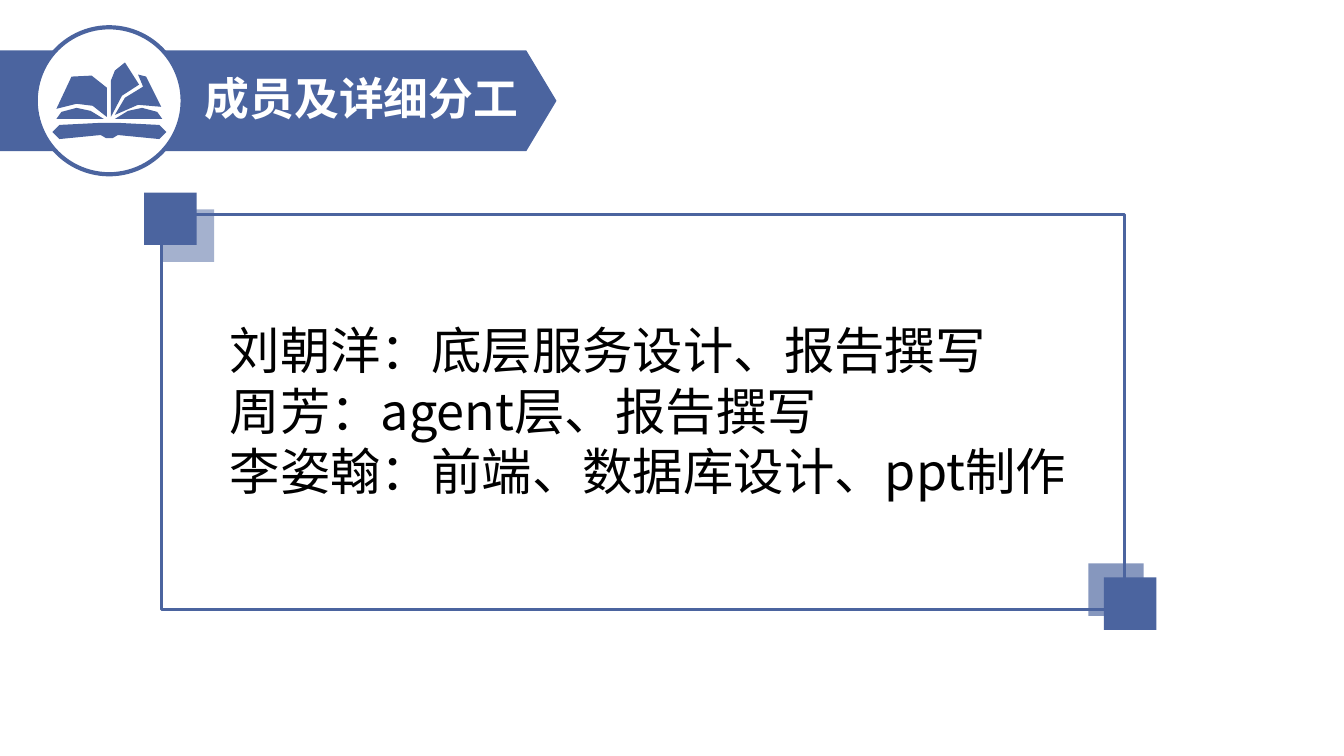
from lxml.etree import SubElement
from pptx import Presentation
from pptx.dml.color import RGBColor
from pptx.enum.lang import MSO_LANGUAGE_ID as LANGUAGE
from pptx.enum.shapes import MSO_SHAPE as SHAPE
from pptx.enum.text import MSO_ANCHOR, MSO_AUTO_SIZE, PP_ALIGN
from pptx.oxml.ns import qn
from pptx.util import Pt

COLORS = {"blue": "4B649F", "white": "FFFFFF", "black": "000000"}
CJK_FONT = "Noto Sans CJK SC"


def style_shape(shape, fill=None, line_width=0, opacity=100):
    """Set a flat fill, a blue outline and the opacity of a shape."""
    shape.shadow.inherit = False
    if fill:
        shape.fill.solid()
        shape.fill.fore_color.rgb = RGBColor.from_string(COLORS[fill])
    else:
        shape.fill.background()
    if line_width:
        shape.line.color.rgb = RGBColor.from_string(COLORS["blue"])
        shape.line.width = Pt(line_width)
    else:
        shape.line.fill.background()
    if opacity < 100:
        color = shape.element.spPr.find(qn("a:solidFill"))[0]
        SubElement(color, qn("a:alpha"), val=str(opacity * 1000))


def add_run(paragraph, text, size, font, color, bold=False):
    """Add one formatted run of Chinese text to a paragraph."""
    run = paragraph.add_run()
    run.text = text
    run.font.size = Pt(size)
    run.font.name = font
    run.font.bold = bold
    run.font.color.rgb = RGBColor.from_string(COLORS[color])
    run.font.language_id = LANGUAGE.SIMPLIFIED_CHINESE
    SubElement(run.font._element, qn("a:ea"), typeface=CJK_FONT)


presentation = Presentation()
presentation.slide_width = Pt(960)
presentation.slide_height = Pt(540)
slide = presentation.slides.add_slide(presentation.slide_layouts[5])
shapes = slide.shapes

# Banner with the round badge
banner = shapes.add_shape(SHAPE.PENTAGON, Pt(0), Pt(36), Pt(397.5), Pt(72))
banner.adjustments[0] = 0.3
style_shape(banner, "blue")
badge = shapes.add_shape(SHAPE.OVAL, Pt(25.5), Pt(19.5), Pt(105), Pt(105))
style_shape(badge, "white", line_width=3)

# Open book on a grid of 0.72 pt; the page edge and the spine mirror at its middle
BOOK_MIDDLE = 108.5
page_edge = [(103, 118), (90, 110), (76, 107), (61, 111), (56, 118)]
half_spine = [(104, 122), (98, 122), (59, 124), (52, 131), (59, 138), (100, 134), (105, 137)]
mirrored_edge, mirrored_spine = (
    [(2 * BOOK_MIDDLE - x, y) for x, y in points] for points in (page_edge, half_spine)
)
book_parts = [
    [(106, 116), (92, 105), (76, 103), (56, 108), (71, 76), (91, 75), (106, 87)],
    [(110, 116), (110, 80), (114, 70), (124, 62), (138, 84), (121, 95)],
    [(160, 106), (145, 76), (137, 74), (142, 86), (124, 97), (114, 114), (137, 104)],
    page_edge,
    mirrored_edge,
    half_spine + mirrored_spine[::-1],
]
for outline in book_parts:
    builder = shapes.build_freeform(*outline[0], scale=Pt(0.72))
    builder.add_line_segments(outline[1:], close=True)
    style_shape(builder.convert_to_shape(), "blue")

# Title, brought in front of the banner
title = shapes.title
title.left, title.top, title.width, title.height = Pt(139), Pt(47), Pt(240.5), Pt(46)
title.element.getparent().append(title.element)
title_frame = title.text_frame
title_frame.word_wrap = False
title_frame.auto_size = MSO_AUTO_SIZE.NONE
title_frame.vertical_anchor = MSO_ANCHOR.MIDDLE
title_frame.paragraphs[0].alignment = PP_ALIGN.LEFT
add_run(title_frame.paragraphs[0], "成员及详细分工", 32, "Arial", "white", bold=True)

# Frame with its corner squares
frame = shapes.add_shape(SHAPE.RECTANGLE, Pt(115.5), Pt(153.5), Pt(687.5), Pt(282))
style_shape(frame, line_width=2)
SQUARE = 37.5
corner_squares = [
    (788.5, 412.5, SQUARE, 100),
    (777.5, 402.5, 39.5, 67),
    (103, 137.5, SQUARE, 100),
    (115.5, 149.5, SQUARE, 50),
]
for left, top, width, opacity in corner_squares:
    square = shapes.add_shape(SHAPE.RECTANGLE, Pt(left), Pt(top), Pt(width), Pt(SQUARE))
    style_shape(square, "blue", opacity=opacity)

# Members and their tasks
members = shapes.add_textbox(Pt(157), Pt(224.5), Pt(612.5), Pt(138))
members_frame = members.text_frame
members_frame.word_wrap = True
tasks = [
    "刘朝洋：底层服务设计、报告撰写",
    "周芳：agent层、报告撰写",
    "李姿翰：前端、数据库设计、ppt制作",
]
for index, task in enumerate(tasks):
    paragraph = members_frame.add_paragraph() if index else members_frame.paragraphs[0]
    add_run(paragraph, task, 36, CJK_FONT, "black")

presentation.save("out.pptx")
